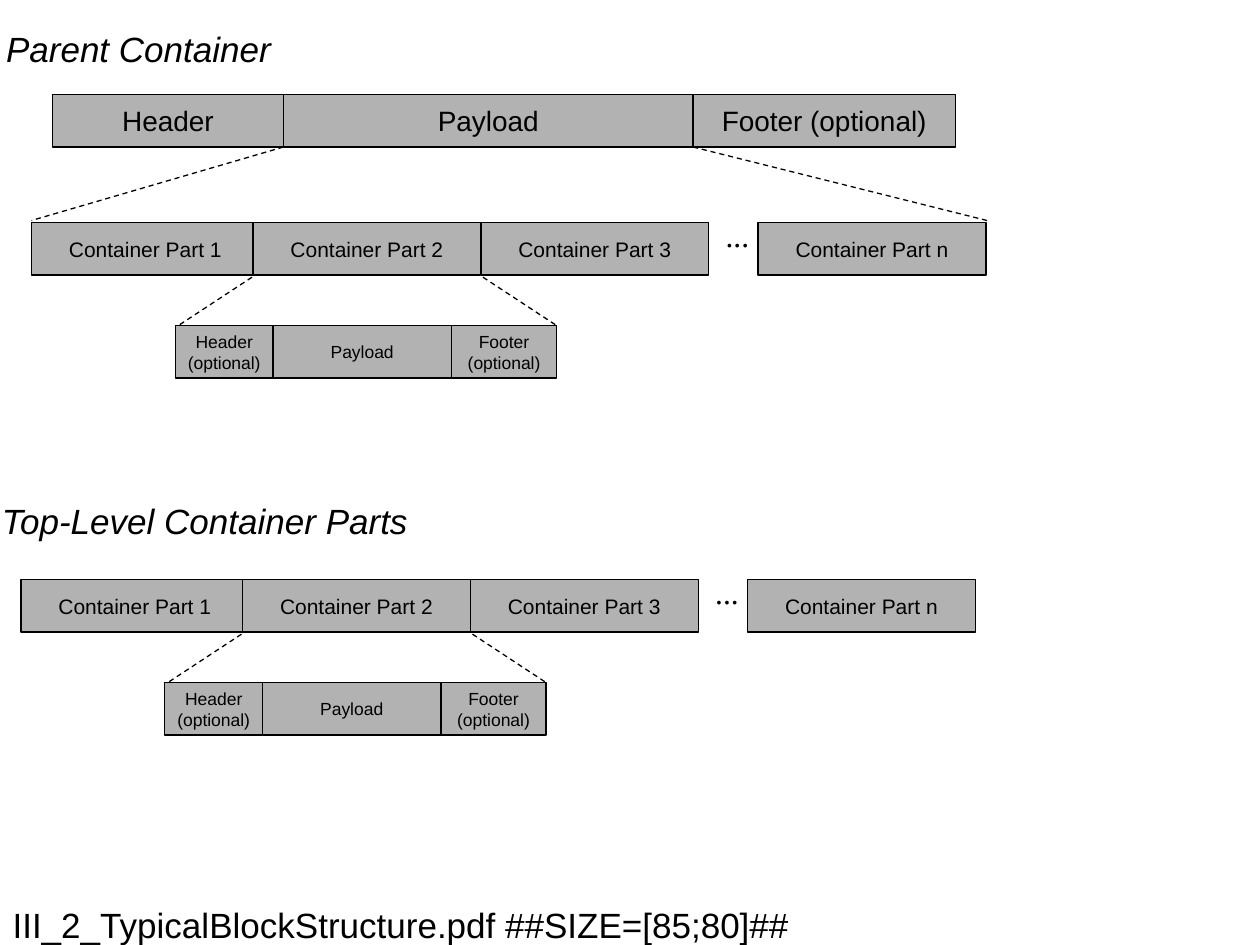
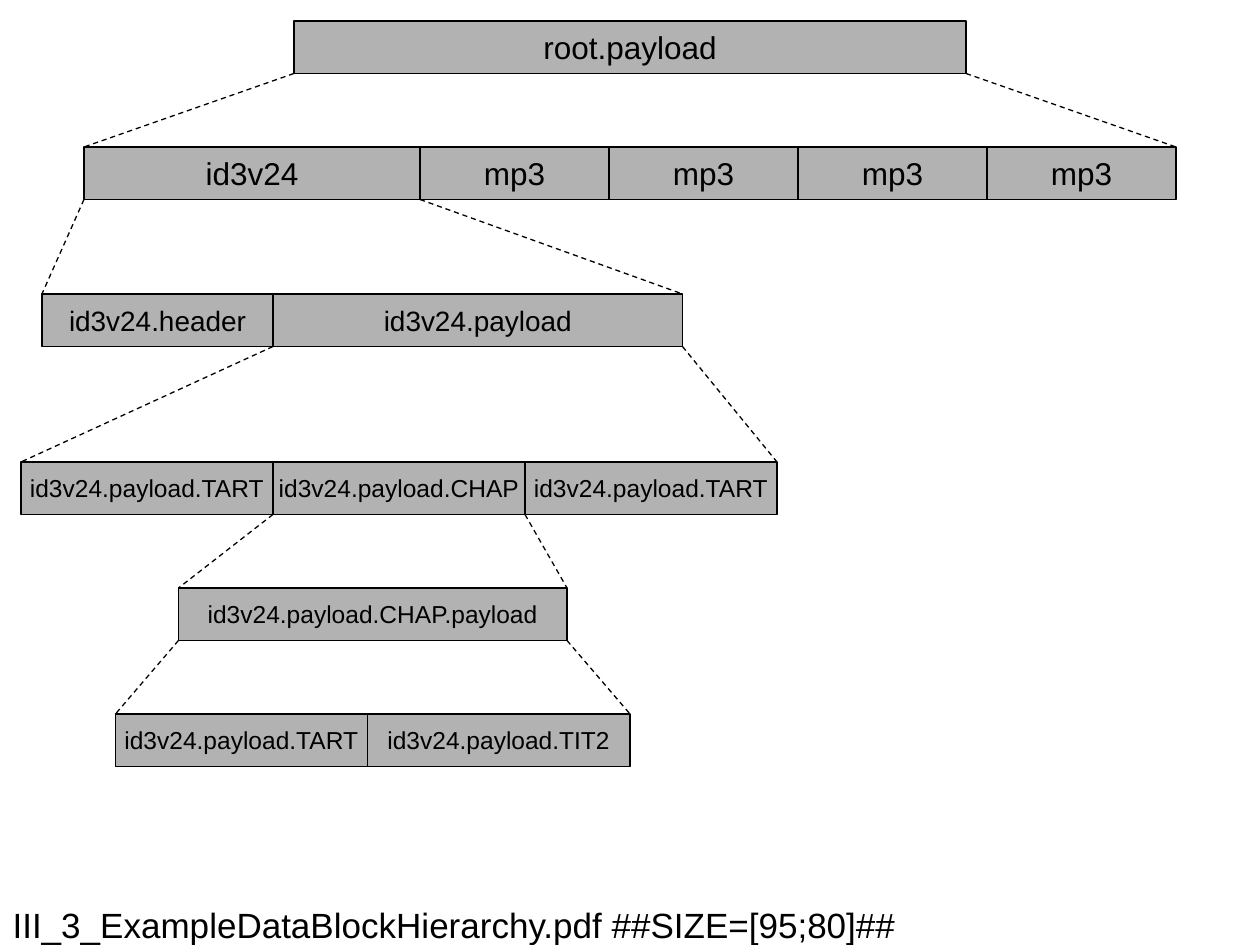
from copy import deepcopy
from dataclasses import dataclass

from pptx import Presentation
from pptx.dml.color import RGBColor
from pptx.enum.dml import MSO_LINE
from pptx.enum.shapes import MSO_CONNECTOR, MSO_SHAPE
from pptx.enum.text import MSO_ANCHOR, MSO_AUTO_SIZE, PP_ALIGN
from pptx.oxml.ns import qn
from pptx.slide import Slide
from pptx.text.text import TextFrame
from pptx.util import Emu, Pt

RECTANGLE = MSO_SHAPE.RECTANGLE
STRAIGHT = MSO_CONNECTOR.STRAIGHT
DASH = MSO_LINE.DASH
LEFT, CENTER = PP_ALIGN.LEFT, PP_ALIGN.CENTER
TOP, MIDDLE = MSO_ANCHOR.TOP, MSO_ANCHOR.MIDDLE
NO_AUTOFIT = MSO_AUTO_SIZE.NONE

BLACK = RGBColor(0x00, 0x00, 0x00)
GRAY = RGBColor(0xB2, 0xB2, 0xB2)
SANS, SERIF = "Arial", "Times New Roman"

EMU_PER_PX = 7620  # 120 px to the inch
LINE_WIDTH = Pt(0.75)
BLOCK_HEIGHT = 50
TITLE_ONLY_LAYOUT = 5


@dataclass(frozen=True)
class Block:
    label: str
    width: int


@dataclass(frozen=True)
class Row:
    """Adjoining blocks; `opened` is the index of the block the next row details."""
    left: int
    top: int
    size: int
    blocks: tuple[Block, ...]
    opened: int = 0

    @property
    def bottom(self) -> int:
        return self.top + BLOCK_HEIGHT

    def edges(self, index: int) -> tuple[int, int]:
        start = self.left + sum(block.width for block in self.blocks[:index])
        return start, start + self.blocks[index].width

    @property
    def span(self) -> tuple[int, int]:
        return self.left, self.edges(len(self.blocks) - 1)[1]


PARENT_ROW = Row(50, 90, 16, (
    Block("Header", 220), Block("Payload", 390), Block("Footer (optional)", 250)), 1)

PART_WIDTH = 217
PART_OFFSETS = {"1": 0, "2": 211, "3": 428, "n": 692}
PART_DETAILS = (
    Block("Header\v(optional)", 93), Block("Payload", 170), Block("Footer\v(optional)", 100))

HIERARCHY = (
    Row(280, 20, 18, (Block("root.payload", 640),)),
    Row(80, 140, 18, (Block("id3v24", 320), *[Block("mp3", 180)] * 4)),
    Row(40, 280, 16, (Block("id3v24.header", 220), Block("id3v24.payload", 390)), 1),
    Row(20, 440, 14, tuple(
        Block(f"id3v24.payload.{frame}", 240) for frame in ("TART", "CHAP", "TART")), 1),
    Row(170, 560, 14, (Block("id3v24.payload.CHAP.payload", 370),)),
    Row(110, 680, 14, (Block("id3v24.payload.TART", 240), Block("id3v24.payload.TIT2", 250))),
)


def px(length: int) -> Emu:
    return Emu(length * EMU_PER_PX)


def write(frame: TextFrame, text: str, size: int, align: PP_ALIGN, anchor: MSO_ANCHOR,
          font: str = SANS, italic: bool = False, wrap: bool = False) -> None:
    frame.text = text
    frame.word_wrap = wrap
    frame.auto_size = NO_AUTOFIT
    frame.vertical_anchor = anchor
    para = frame.paragraphs[0]
    para.alignment = align
    for span in para.runs:
        span.font.name = font
        span.font.size = Pt(size)
        span.font.italic = italic
        span.font.color.rgb = BLACK
    # Line breaks take the size of the text around them.
    for line_break in para._p.findall(qn("a:br")):
        line_break.append(deepcopy(para.runs[0]._r.rPr))


def add_titled_slide(deck: Presentation, title: str) -> Slide:
    slide = deck.slides.add_slide(deck.slide_layouts[TITLE_ONLY_LAYOUT])
    box = slide.shapes.title
    box.left, box.top, box.width, box.height = px(0), px(860), px(1020), px(40)
    write(box.text_frame, title, 20, LEFT, MIDDLE, wrap=True)
    return slide


def add_label(slide: Slide, text: str, left: int, top: int, width: int, height: int,
              size: int, font: str = SANS) -> None:
    box = slide.shapes.add_textbox(px(left), px(top), px(width), px(height))
    write(box.text_frame, text, size, LEFT, TOP, font, italic=True)


def add_block(slide: Slide, label: str, left: int, top: int, width: int, size: int) -> None:
    box = slide.shapes.add_shape(RECTANGLE, px(left), px(top), px(width), px(BLOCK_HEIGHT))
    box.shadow.inherit = False
    box.fill.solid()
    box.fill.fore_color.rgb = GRAY
    box.line.color.rgb = BLACK
    box.line.width = LINE_WIDTH
    write(box.text_frame, label, size, CENTER, MIDDLE)


def add_row(slide: Slide, row: Row) -> None:
    for index, block in enumerate(row.blocks):
        add_block(slide, block.label, row.edges(index)[0], row.top, block.width, row.size)


def add_expansion(slide: Slide, upper: tuple[int, int], bottom: int,
                  lower: tuple[int, int], top: int) -> None:
    """Join both ends of a block to the ends of the row that details it."""
    for start, end in zip(upper, lower):
        line = slide.shapes.add_connector(STRAIGHT, px(start), px(bottom), px(end), px(top))
        line.line.color.rgb = BLACK
        line.line.width = LINE_WIDTH
        line.line.dash_style = DASH
        properties = line._element.spPr
        properties.append(properties.makeelement(qn("a:effectLst"), {}))


def add_container_parts(slide: Slide, left: int, top: int) -> None:
    for number, offset in PART_OFFSETS.items():
        add_block(slide, f"Container Part {number}", left + offset, top, PART_WIDTH, 12)
    add_label(slide, "...", left + 650, top - 12, 47, 48, 18, SERIF)
    details = Row(left + 137, top + 98, 10, PART_DETAILS)
    add_row(slide, details)
    add_expansion(slide, (left + 210, left + 430), top + 52,
                  (left + 140, left + 500), details.top)


def build_block_structure(deck: Presentation) -> None:
    slide = add_titled_slide(deck, "III_2_TypicalBlockStructure.pdf ##SIZE=[85;80]##")
    add_label(slide, "Parent Container", -6, 20, 276, 53, 20)
    add_row(slide, PARENT_ROW)
    add_expansion(slide, PARENT_ROW.edges(PARENT_ROW.opened), PARENT_ROW.bottom, (30, 940), 210)
    add_container_parts(slide, 30, 212)
    add_label(slide, "Top-Level Container Parts", -10, 470, 414, 53, 20)
    add_container_parts(slide, 20, 552)


def build_hierarchy(deck: Presentation) -> None:
    slide = add_titled_slide(deck, "III_3_ExampleDataBlockHierarchy.pdf ##SIZE=[95;80]##")
    for row in HIERARCHY:
        add_row(slide, row)
    for upper, lower in zip(HIERARCHY, HIERARCHY[1:]):
        add_expansion(slide, upper.edges(upper.opened), upper.bottom, lower.span, lower.top)


def main() -> None:
    deck = Presentation()
    deck.slide_width, deck.slide_height = px(1200), px(900)
    build_block_structure(deck)
    build_hierarchy(deck)
    deck.save("out.pptx")


if __name__ == "__main__":
    main()
